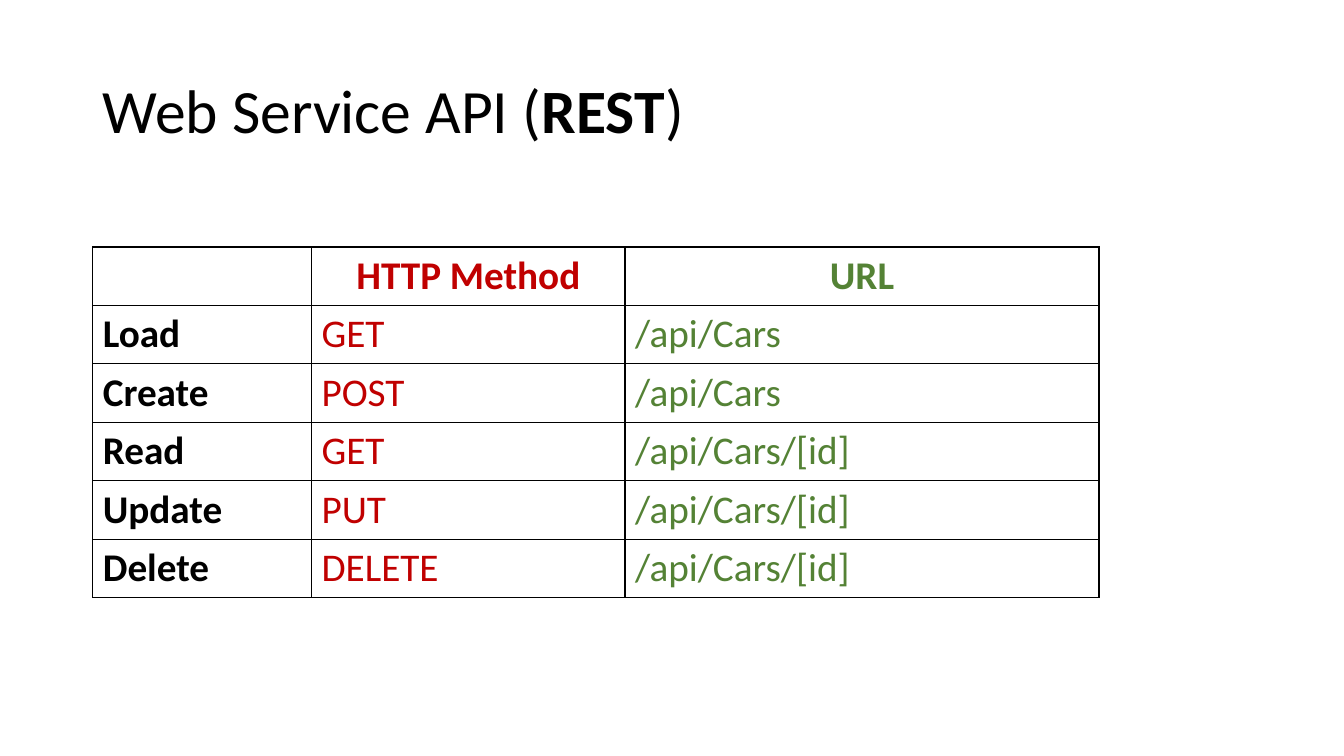
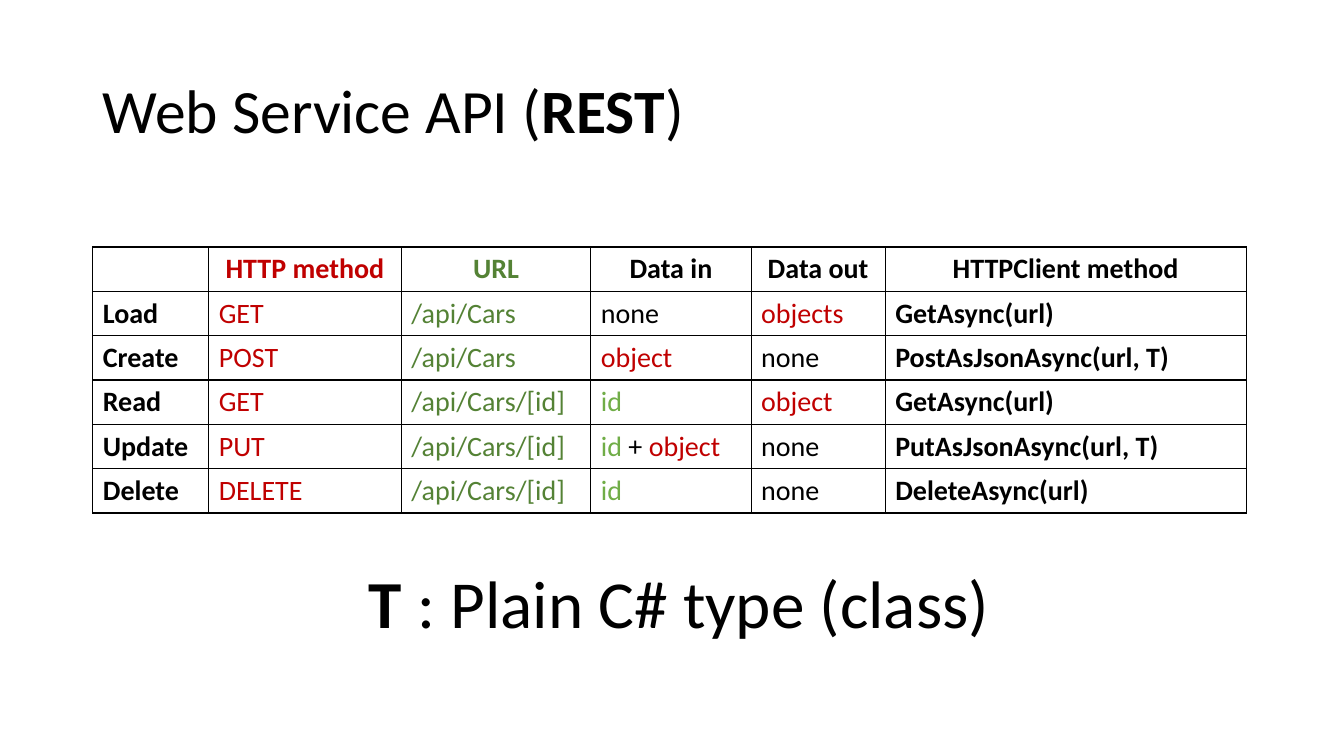
from dataclasses import dataclass

from lxml.etree import SubElement
from pptx import Presentation
from pptx.dml.color import RGBColor
from pptx.enum.text import MSO_ANCHOR, MSO_AUTO_SIZE, PP_ALIGN
from pptx.oxml.ns import qn
from pptx.slide import Slide
from pptx.table import _Cell as Cell
from pptx.text.text import _Paragraph as Paragraph
from pptx.util import Inches, Pt

BLACK = RGBColor(0x00, 0x00, 0x00)
RED = RGBColor(0xC0, 0x00, 0x00)
GREEN = RGBColor(0x54, 0x82, 0x35)
LIGHT_GREEN = RGBColor(0x70, 0xAD, 0x47)
FONT = "Calibri"
MARGIN = 0.92
TABLE_TOP = 2.45


@dataclass(frozen=True)
class Span:
    text: str
    color: RGBColor = BLACK
    bold: bool = False


@dataclass(frozen=True)
class Column:
    heading: Span
    width: float
    entries: tuple[tuple[Span, ...], ...]


def make_column(heading: str, width: float, texts: list[str],
                color: RGBColor = BLACK, bold: bool = False) -> Column:
    entries = tuple((Span(text, color, bold),) for text in texts)
    return Column(Span(heading, color, True), width, entries)


def write_spans(paragraph: Paragraph, spans: tuple[Span, ...], size: float) -> None:
    for span in spans:
        run = paragraph.add_run()
        run.text = span.text
        run.font.name = FONT
        run.font.size = Pt(size)
        run.font.bold = span.bold
        run.font.color.rgb = span.color


def add_title(slide: Slide) -> None:
    title = slide.shapes.add_textbox(
        Inches(MARGIN), Inches(0.4), Inches(11.5), Inches(1.45))
    frame = title.text_frame
    frame.word_wrap = True
    frame.vertical_anchor = MSO_ANCHOR.MIDDLE
    paragraph = frame.paragraphs[0]
    paragraph.line_spacing = 0.9
    spans = Span("Web Service API ("), Span("REST", bold=True), Span(")")
    write_spans(paragraph, spans, 44)


def style_cell(cell: Cell) -> None:
    properties = cell._tc.get_or_add_tcPr()
    for side in ("a:lnL", "a:lnR", "a:lnT", "a:lnB"):
        border = SubElement(properties, qn(side), w=str(Pt(1)))
        fill = SubElement(border, qn("a:solidFill"))
        SubElement(fill, qn("a:srgbClr"), val=str(BLACK))
    cell.fill.background()


def add_api_table(slide: Slide, columns: list[Column], row_height: float, size: float) -> None:
    row_count = len(OPERATIONS) + 1
    table = slide.shapes.add_table(
        row_count, len(columns), Inches(MARGIN), Inches(TABLE_TOP),
        Inches(sum(column.width for column in columns)),
        Inches(row_height * row_count)).table
    table.first_row = False
    table.horz_banding = False
    for row in table.rows:
        row.height = Inches(row_height)
    for column_index, column in enumerate(columns):
        table.columns[column_index].width = Inches(column.width)
        for row_index, spans in enumerate(((column.heading,), *column.entries)):
            cell = table.cell(row_index, column_index)
            style_cell(cell)
            paragraph = cell.text_frame.paragraphs[0]
            if row_index == 0:
                paragraph.alignment = PP_ALIGN.CENTER
            if any(span.text for span in spans):
                write_spans(paragraph, spans, size)


def add_type_note(slide: Slide) -> None:
    note = slide.shapes.add_textbox(
        Inches(3.56), Inches(5.52), Inches(6.42), Inches(0.91))
    frame = note.text_frame
    frame.word_wrap = False
    frame.auto_size = MSO_AUTO_SIZE.SHAPE_TO_FIT_TEXT
    spans = Span("T ", bold=True), Span(": Plain C# type (class)")
    write_spans(frame.paragraphs[0], spans, 48)


OPERATIONS = ["Load", "Create", "Read", "Update", "Delete"]
METHODS = ["GET", "POST", "GET", "PUT", "DELETE"]
URLS = ["/api/Cars"] * 2 + ["/api/Cars/[id]"] * 3
CLIENT_CALLS = ["GetAsync(url)", "PostAsJsonAsync(url, T)", "GetAsync(url)",
                "PutAsJsonAsync(url, T)", "DeleteAsync(url)"]

NONE = Span("none")
ID = Span("id", LIGHT_GREEN)
OBJECT = Span("object", RED)
OBJECTS = Span("objects", RED)
DATA_IN = (NONE,), (OBJECT,), (ID,), (ID, Span(" + "), OBJECT), (ID,)
DATA_OUT = (OBJECTS,), (NONE,), (OBJECT,), (NONE,), (NONE,)

overview_columns = [
    make_column("", 2.17, OPERATIONS, bold=True),
    make_column("HTTP Method", 3.11, METHODS, RED),
    make_column("URL", 4.7, URLS, GREEN),
]
client_columns = [
    make_column("", 1.15, OPERATIONS, bold=True),
    make_column("HTTP method", 1.91, METHODS, RED),
    make_column("URL", 1.88, URLS, GREEN),
    Column(Span("Data in", bold=True), 1.59, DATA_IN),
    Column(Span("Data out", bold=True), 1.33, DATA_OUT),
    make_column("HTTPClient method", 3.58, CLIENT_CALLS, bold=True),
]

presentation = Presentation()
presentation.slide_width = Inches(13.33)
presentation.slide_height = Inches(7.5)
blank_layout = presentation.slide_layouts[6]

overview = presentation.slides.add_slide(blank_layout)
add_title(overview)
add_api_table(overview, overview_columns, 0.58, 28)

client = presentation.slides.add_slide(blank_layout)
add_title(client)
add_api_table(client, client_columns, 0.44, 20)
add_type_note(client)

presentation.save("out.pptx")
